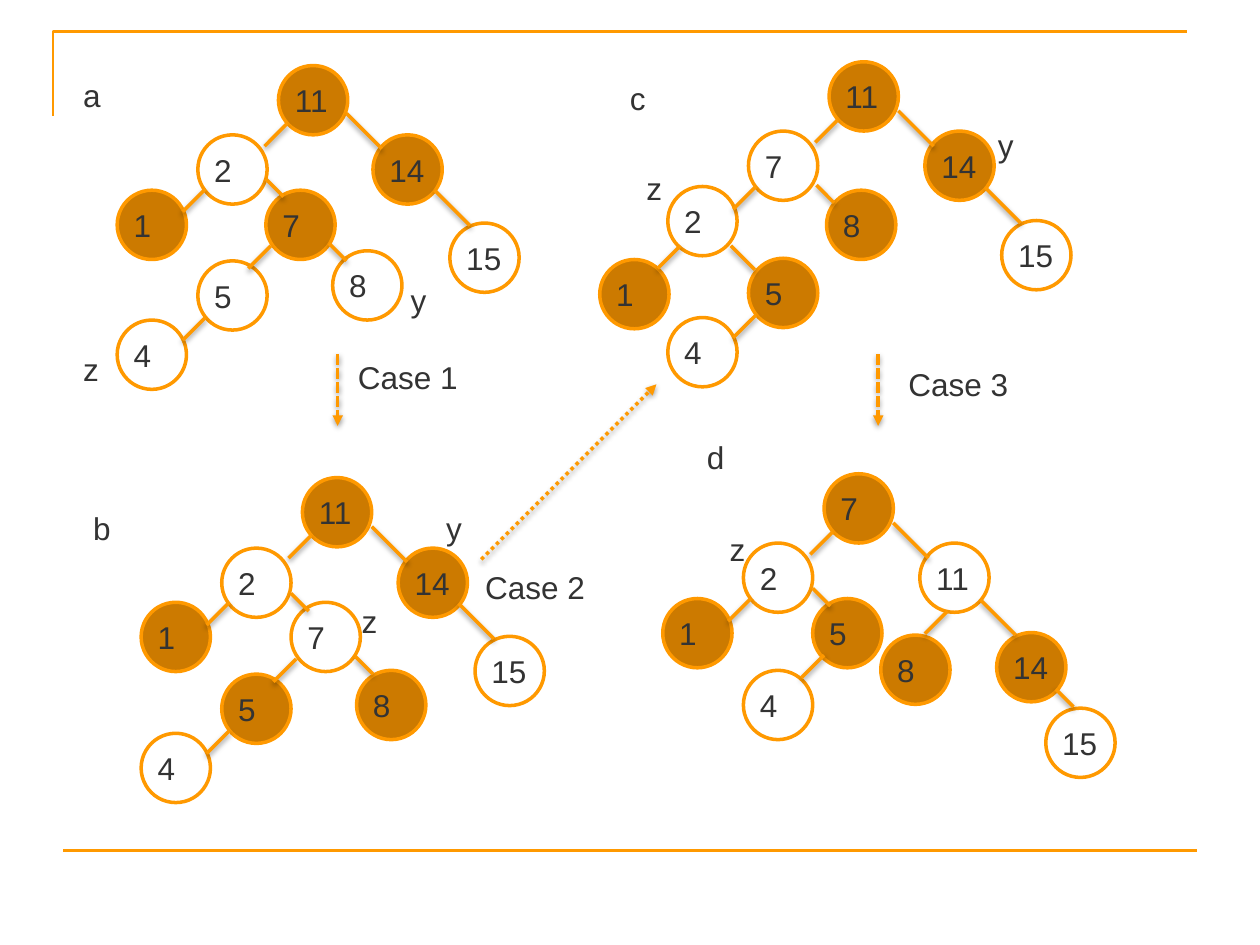
"""Draw four stages of a red-black tree insertion with its three fix-up cases."""
import pptx
import pptx.util
import pptx.dml.color
import pptx.enum.dml
import pptx.enum.shapes
import pptx.enum.text
import pptx.oxml
import pptx.oxml.ns

Inches = pptx.util.Inches
Pt = pptx.util.Pt
Color = pptx.dml.color.RGBColor.from_string
Dash = pptx.enum.dml.MSO_LINE
Kind = pptx.enum.shapes
Text = pptx.enum.text

theme = {
    "line": Color("FF9900"), "dark": Color("CC7A00"), "light": Color("FFFFFF"),
    "ink": Color("333333"), "face": "Arial", "size": Pt(18),
    "edge": Pt(2), "rule": Pt(1.5),
}
font = {"name": theme["face"], "size": theme["size"]}
inset = {f"margin_{side}": Inches(0.05) for side in ("left", "top", "right", "bottom")}
node = {**inset, "word_wrap": True, "vertical_anchor": Text.MSO_ANCHOR.MIDDLE}
label = {**inset, "word_wrap": False, "auto_size": Text.MSO_AUTO_SIZE.SHAPE_TO_FIT_TEXT}
shadow = (
    '<a:effectLst {}><a:outerShdw blurRad="38100" dist="20000" dir="5400000" '
    'rotWithShape="0"><a:srgbClr val="000000"><a:alpha val="38000"/></a:srgbClr>'
    "</a:outerShdw></a:effectLst>"
).format(pptx.oxml.ns.nsdecls("a"))
plain = f'<a:effectLst {pptx.oxml.ns.nsdecls("a")}/>'
head = f'<a:tailEnd {pptx.oxml.ns.nsdecls("a")} type="triangle"/>'

deck = pptx.Presentation()
deck.slide_width, deck.slide_height = Inches(10), Inches(7.5)
slide = deck.slides.add_slide(deck.slide_layouts[6])
shapes = slide.shapes


def write(shape, text, style):
    """Put one left-aligned run of text in a shape."""
    frame = shape.text_frame
    for name, value in style.items():
        setattr(frame, name, value)
    para = frame.paragraphs[0]
    para.alignment = Text.PP_ALIGN.LEFT
    run = para.add_run()
    run.text = text
    for name, value in font.items():
        setattr(run.font, name, value)
    run.font.color.rgb = theme["ink"]


def link(x1, y1, x2, y2, width=theme["edge"], effect=shadow, dash=None):
    """Draw a straight line, with an arrowhead if it is dashed."""
    line = shapes.add_connector(
        Kind.MSO_CONNECTOR.STRAIGHT, *(Inches(n) for n in (x1, y1, x2, y2)))
    line.line.color.rgb = theme["line"]
    line.line.width = width
    if dash:
        line.line.dash_style = dash
        line.line._ln.append(pptx.oxml.parse_xml(head))
    line._element.spPr.append(pptx.oxml.parse_xml(effect))


path = shapes.build_freeform(Inches(0.42), Inches(0.92))
path.add_line_segments([(Inches(0.42), Inches(0.25)), (Inches(9.42), Inches(0.25))], close=False)
frame = path.convert_to_shape()
frame.shadow.inherit = False
frame.fill.background()
frame.line.color.rgb = theme["line"]
frame.line.width = theme["rule"]
link(0.5, 6.75, 9.5, 6.75, theme["rule"], plain)

trees = [
    {"dark": [(11, 2.21, 0.52), (14, 2.96, 1.07), (7, 2.11, 1.51), (1, 0.93, 1.51)],
     "light": [(2, 1.57, 1.07), (15, 3.57, 1.77), (8, 2.64, 1.99), (5, 1.57, 2.07),
               (4, 0.93, 2.54)],
     "left": [(2.1, 1.16), (1.45, 1.68), (1.97, 2.13), (1.45, 2.7)],
     "right": [(2.75, 0.9, 0.28), (3.45, 1.51, 0.28), (2.61, 1.93, 0.14), (2.11, 1.42, 0.14)]},
    {"dark": [(11, 2.4, 3.79), (14, 3.16, 4.35), (8, 2.83, 5.32), (1, 1.12, 4.78),
              (5, 1.76, 5.35)],
     "light": [(2, 1.76, 4.35), (15, 3.77, 5.05), (7, 2.31, 4.78), (4, 1.12, 5.82)],
     "left": [(2.29, 4.43), (1.64, 4.96), (2.17, 5.41), (1.64, 5.98)],
     "right": [(2.95, 4.18, 0.28), (3.64, 4.79, 0.28), (2.31, 4.71, 0.14), (2.82, 5.21, 0.14)]},
    {"dark": [(11, 6.58, 0.49), (14, 7.34, 1.04), (8, 6.56, 1.51), (1, 4.76, 2.06),
              (5, 5.94, 2.05)],
     "light": [(7, 5.94, 1.04), (15, 7.95, 1.75), (2, 5.3, 1.48), (4, 5.3, 2.52)],
     "left": [(6.47, 1.13), (5.82, 1.66), (5.82, 2.68), (5.22, 2.13)],
     "right": [(7.13, 0.88, 0.28), (7.82, 1.49, 0.28), (5.8, 1.95, 0.19), (6.48, 1.47, 0.14)]},
    {"dark": [(7, 6.54, 3.76), (14, 7.91, 5.02), (5, 6.45, 4.75), (8, 6.99, 5.04),
              (1, 5.26, 4.75)],
     "light": [(2, 5.9, 4.31), (11, 7.3, 4.31), (4, 5.9, 5.32), (15, 8.3, 5.62)],
     "left": [(6.43, 4.4), (5.78, 4.93), (6.36, 5.38), (7.34, 5.03)],
     "right": [(7.09, 4.15, 0.28), (7.78, 4.76, 0.28), (6.45, 4.67, 0.14), (8.38, 5.47, 0.14)]},
]
for tree in trees:
    for tone in ("dark", "light"):
        for key, x, y in tree[tone]:
            disc = shapes.add_shape(
                Kind.MSO_SHAPE.OVAL, Inches(x), Inches(y), Inches(0.55), Inches(0.55))
            disc.shadow.inherit = False
            disc.fill.solid()
            disc.fill.fore_color.rgb = theme[tone]
            disc.line.color.rgb = theme["line"]
            disc.line.width = theme["edge"]
            write(disc, str(key), node)
    for x, y in tree["left"]:
        link(x, y, x + 0.18, y - 0.18)
    for x, y, step in tree["right"]:
        link(x, y, x + step, y + step)

for x in (2.68, 6.97):
    link(x, 2.81, x, 3.38, dash=Dash.SQUARE_DOT)
    shapes[-1].line._ln.find(pptx.oxml.ns.qn("a:prstDash")).set("val", "sysDash")
link(3.82, 4.44, 5.21, 3.05, dash=Dash.ROUND_DOT)

notes = [
    ("Case 1", 2.79, 2.79), ("Case 2", 3.8, 4.46), ("Case 3", 7.16, 2.85),
    ("z", 0.61, 2.73), ("y", 3.21, 2.18), ("z", 2.82, 4.73), ("y", 3.49, 3.99),
    ("z", 5.08, 1.29), ("y", 7.87, 0.95), ("z", 5.74, 4.16),
    ("a", 0.61, 0.55), ("b", 0.69, 3.99), ("c", 4.95, 0.58), ("d", 5.56, 3.43),
]
for text, x, y in notes:
    wide = 0.91 if len(text) > 1 else 0.24
    box = shapes.add_textbox(Inches(x), Inches(y), Inches(wide), Inches(0.38))
    write(box, text, label)

deck.save("out.pptx")
